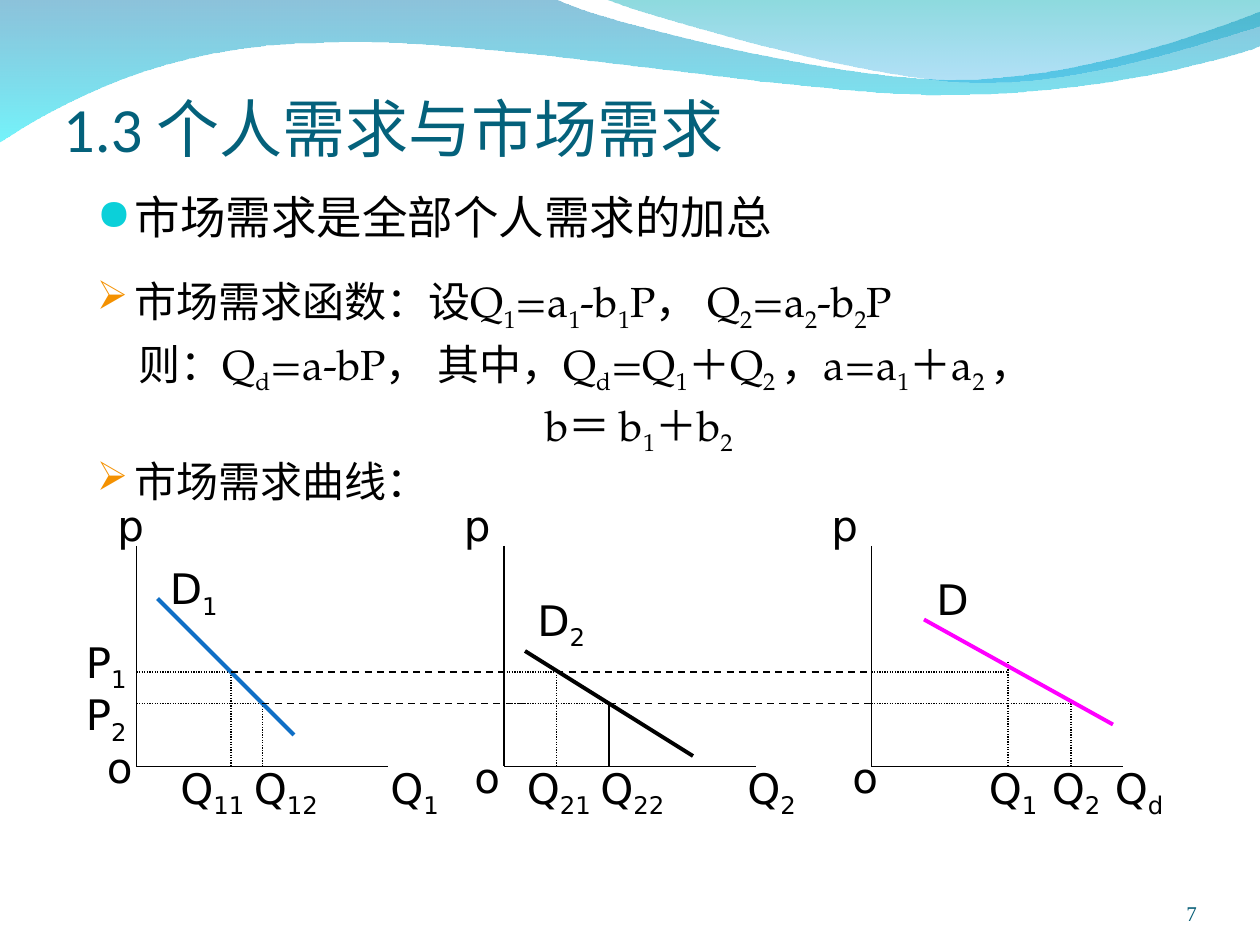
from lxml.etree import SubElement as Sub
from pptx import Presentation
from pptx.dml.color import RGBColor
from pptx.enum.dml import MSO_LINE as Dash
from pptx.enum.shapes import MSO_CONNECTOR as Link
from pptx.enum.text import MSO_ANCHOR as Anchor, PP_ALIGN as Align
from pptx.oxml.ns import qn
from pptx.util import Inches, Pt

HAN = "Noto Sans CJK SC"
SERIF = "TeX Gyre Pagella"
SANS = "DejaVu Sans"
BLACK = "000000"
GRID = 12


def color(code):
    return RGBColor.from_string(code)


def add_runs(para, text, size, face, ink=BLACK):
    for i, part in enumerate(text.split("~")):
        if not part:
            continue
        run = para.add_run()
        run.text = part
        font = run.font
        font.size, font.name = Pt(size), face
        font.color.rgb = color(ink)
        props = run._r.get_or_add_rPr()
        Sub(props, qn("a:ea")).set("typeface", HAN)
        if i % 2:
            props.set("baseline", "-25000")


def add_box(slide, box, inset=(0.1, 0.05, 0.1, 0.05), anchor=Anchor.TOP):
    frame = slide.shapes.add_textbox(*map(Inches, box)).text_frame
    frame.word_wrap = True
    frame.vertical_anchor = anchor
    (frame.margin_left, frame.margin_top,
     frame.margin_right, frame.margin_bottom) = map(Inches, inset)
    return frame


def add_line(slide, ends, ink=BLACK, width=0.75, dash=None):
    spots = [Inches(n / GRID) for n in ends]
    line = slide.shapes.add_connector(Link.STRAIGHT, *spots)
    line.line.color.rgb = color(ink)
    line.line.width = Pt(width)
    if dash:
        line.line.dash_style = dash
    Sub(line._element.spPr, qn("a:effectLst"))


def add_wave(slide, start, parts, stops):
    dots = [(part[i], part[i + 1]) for part in parts for i in range(0, len(part), 2)]
    spots = [(Inches(x), Inches(y)) for x, y in [start] + dots]
    pen = slide.shapes.build_freeform(*spots[0])
    pen.add_line_segments(spots[1:], close=True)
    wave = pen.convert_to_shape()
    props = wave._element.spPr
    legs = iter(list(props.iter(qn("a:lnTo"))))
    for part in parts:
        leg = next(legs)
        if len(part) == 6:
            leg.tag = qn("a:cubicBezTo")
            for _ in range(2):
                extra = next(legs)
                leg.append(extra[0])
                extra.getparent().remove(extra)
    wave.shadow.inherit = False
    wave.line.fill.background()
    wave.fill.gradient()
    wave.fill.gradient_angle = 270
    grad = props.find(qn("a:gradFill"))
    for stop, (ink, alpha) in zip(grad.find(qn("a:gsLst")), stops):
        stop.remove(stop[0])
        tone = Sub(stop, qn("a:srgbClr"))
        tone.set("val", ink)
        Sub(tone, qn("a:alpha")).set("val", str(alpha * 1000))


def add_waves(slide):
    add_wave(slide, (0, -0.01), [
        (4.4, -0.01), (4.76, 0.17, 6.64, 0.63, 7.58, 0.63),
        (8.53, 0.63, 9.58, 0.26, 10, 0.09), (10.01, 0.36),
        (9.83, 0.44, 8.7, 0.76, 7.46, 0.75), (6.22, 0.75, 3.82, 0.28, 2.57, 0.34),
        (1.29, 0.35, 0.46, 0.83, -0.01, 1.13)], [("0079AF", 45), ("00EBF8", 55)])
    add_wave(slide, (4.79, -0.01), [
        (5.09, 0.11, 6.82, 0.62, 7.69, 0.65),
        (8.56, 0.69, 9.61, 0.32, 10, 0.21), (10, 0)], [("00ADB6", 45), ("009BE5", 30)])


def add_title(slide, box):
    frame = add_box(slide, box, (0, 0.05, 0, 0), Anchor.BOTTOM)
    add_runs(frame.paragraphs[0], "1.3 个人需求与市场需求", 36, "Calibri", "04617B")


def add_page(slide, box):
    frame = add_box(slide, box, (0, 0, 0, 0), Anchor.BOTTOM)
    para = frame.paragraphs[0]
    para.alignment = Align.RIGHT
    add_runs(para, "7", 12, "Times New Roman", "045C75")


def add_body(slide, box):
    rows = [
        ("市场需求是全部个人需求的加总", 26, HAN, 0, 0.3, "●", "0BD0D9"),
        ("市场需求函数：设Q~1~=a~1~-b~1~P， Q~2~=a~2~-b~2~P",
         24, SERIF, 18.5, 0.3, "➢", "F49100"),
        ("则：Q~d~=a-bP， 其中，Q~d~=Q~1~＋Q~2 ~，a=a~1~＋a~2 ~，",
         24, SERIF, 6, 0.33, None, None),
        ("b＝ b~1~＋b~2~", 24, SERIF, 5.5, 3.56, None, None),
        ("市场需求曲线：", 24, SERIF, 5.5, 0.3, "➢", "F49100"),
    ]
    frame = add_box(slide, box)
    for i, (text, size, face, gap, left, mark, ink) in enumerate(rows):
        para = frame.add_paragraph() if i else frame.paragraphs[0]
        props = para._p.get_or_add_pPr()
        props.set("marL", str(Inches(left)))
        props.set("indent", str(-Inches(left) if mark else 0))
        if mark:
            Sub(Sub(props, qn("a:buClr")), qn("a:srgbClr")).set("val", ink)
            Sub(props, qn("a:buSzPct")).set("val", "95000")
            Sub(props, qn("a:buFont")).set("typeface", "OpenSymbol")
            Sub(props, qn("a:buChar")).set("char", mark)
        para.line_spacing = 0.9
        para.space_before = Pt(gap)
        add_runs(para, text, size, face)


def add_graph(slide, box, curve, ink, guides, labels):
    x, y, w, h = box
    add_line(slide, (x, y, x, y + h))
    add_line(slide, (x, y + h, x + w, y + h))
    for price, top, qty, width, dash in guides:
        add_line(slide, (x, y + price, x + qty, y + price), dash=Dash.ROUND_DOT)
        add_line(slide, (x + qty, y + top, x + qty, y + h), width=width, dash=dash)
    a, b, c, d = curve
    add_line(slide, (x + a, y + b, x + c, y + d), ink, 2.25)
    for text, left, top in labels:
        wide, tall = (0.42 if text == "o" else 0.83), (0.56 if "~" in text else 0.5)
        frame = add_box(slide, ((x + left) / GRID, (y + top) / GRID, wide, tall))
        add_runs(frame.paragraphs[0], text, 24, SANS)


def add_graphs(slide, box):
    left, top, step, w, h = box
    dot = Dash.ROUND_DOT
    graphs = [
        ((2, 5, 15, 18), "0F6FC6",
         [(12, 12, 9, 0.75, dot), (15, 15, 12, 0.75, dot)],
         [("p", -3, -5), ("D~1~", 2, 1), ("P~1~", -6, 8), ("P~2~", -6, 13),
          ("o", -4, 18), ("Q~11~", 3, 20), ("Q~12~", 10, 20), ("Q~1~", 23, 20)]),
        ((2, 10, 18, 20), BLACK,
         [(12, 12, 5, 0.75, dot), (15, 15, 10, 1, None)],
         [("p", -5, -5), ("D~2~", 2, 4), ("o", -4, 19),
          ("Q~21~", 1, 20), ("Q~22~", 8, 20), ("Q~2~", 22, 20)]),
        ((5, 7, 23, 17), "FF00FF",
         [(12, 11, 13, 0.75, dot), (15, 15, 19, 0.75, dot)],
         [("p", -5, -5), ("D", 5, 2), ("o", -3, 19),
          ("Q~1~", 10, 20), ("Q~2~", 16, 20), ("Q~d~", 22, 20)]),
    ]
    for i, graph in enumerate(graphs):
        add_graph(slide, (left + i * step, top, w, h), *graph)
    for price, start, end in [(12, 9, 35), (12, 40, 70), (15, 12, 37), (15, 45, 70)]:
        ends = (left + start, top + price, left + end, top + price)
        add_line(slide, ends, width=1, dash=Dash.DASH)


def main():
    deck = Presentation()
    deck.slide_width, deck.slide_height = Inches(10), Inches(7.5)
    slide = deck.slides.add_slide(deck.slide_layouts[6])
    add_waves(slide)
    add_page(slide, (8.67, 6.95, 0.83, 0.4))
    add_title(slide, (0.5, 0.65, 8.56, 0.66))
    add_body(slide, (0.67, 1.5, 8.92, 4.92))
    add_graphs(slide, (13, 52, 35, 24, 21))
    deck.save("out.pptx")


if __name__ == "__main__":
    main()
